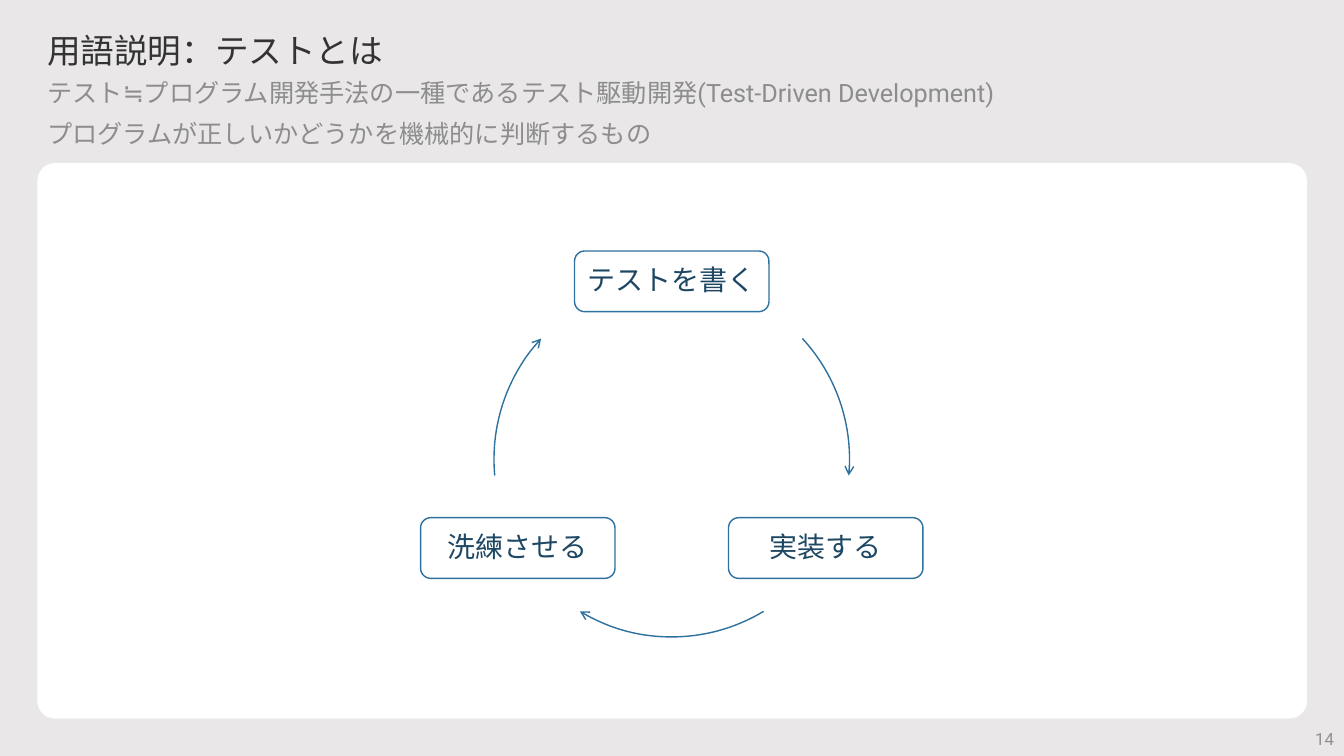
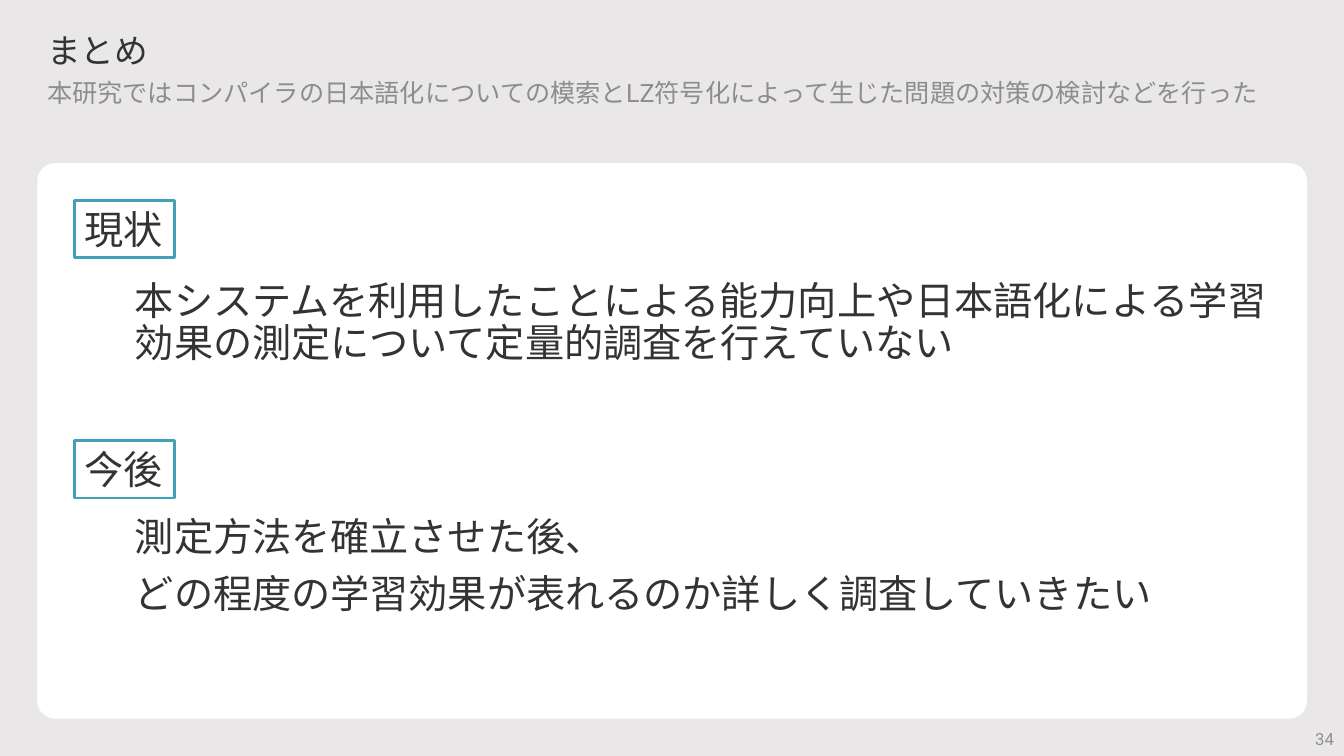
"""Build two slides: the test-driven development cycle and the summary."""
from dataclasses import dataclass
from math import cos, radians, sin

from lxml import etree
from pptx import Presentation
from pptx.dml.color import RGBColor
from pptx.enum.shapes import MSO_SHAPE
from pptx.enum.text import MSO_ANCHOR, PP_ALIGN
from pptx.oxml.ns import qn
from pptx.util import Cm, Pt

ROUNDED = MSO_SHAPE.ROUNDED_RECTANGLE
RECTANGLE = MSO_SHAPE.RECTANGLE
ARC = MSO_SHAPE.ARC
TOP, MIDDLE = MSO_ANCHOR.TOP, MSO_ANCHOR.MIDDLE
LEFT, CENTER, RIGHT = PP_ALIGN.LEFT, PP_ALIGN.CENTER, PP_ALIGN.RIGHT

COLORS = {
    "background": "E9E7E7",
    "card": "FFFFFF",
    "text": "333333",
    "subtitle": "8D8D8D",
    "number": "909090",
    "cycle_line": "2E719E",
    "cycle_text": "1D4763",
    "heading_line": "41A0BA",
}
BODY_FONT = "Roboto"
CYCLE_FONT = "Noto Sans CJK JP"


@dataclass(frozen=True)
class Box:
    """Position and size in centimetres."""
    left: float
    top: float
    width: float
    height: float

    def lengths(self):
        """Return the four values as lengths."""
        return Cm(self.left), Cm(self.top), Cm(self.width), Cm(self.height)


@dataclass(frozen=True)
class TextStyle:
    """Look of all the text in one box."""
    size: int
    color: str
    font: str = BODY_FONT
    align: PP_ALIGN = LEFT
    anchor: MSO_ANCHOR = TOP
    line_spacing: float = 0.9
    space_before: int = 10


@dataclass(frozen=True)
class Step:
    """Cycle step with its angle and the arc leading to the next step."""
    label: str
    angle: float
    arc_start: float
    arc_end: float


@dataclass(frozen=True)
class Section:
    """Summary section: a framed heading and its body lines."""
    heading: str
    heading_top: float
    lines: tuple[str, ...]
    body_top: float
    body_height: float


TITLE_STYLE = TextStyle(24, "text")
SUBTITLE_STYLE = TextStyle(18, "subtitle")
NUMBER_STYLE = TextStyle(12, "number", align=RIGHT, anchor=MIDDLE, line_spacing=1)
STEP_STYLE = TextStyle(20, "cycle_text", CYCLE_FONT, CENTER, MIDDLE)
HEADING_STYLE = TextStyle(28, "text", anchor=MIDDLE, line_spacing=1)
BODY_STYLE = TextStyle(28, "text")

TITLE_BOX = Box(0.94, 0.74, 32, 0.97)
SUBTITLE_BOX = Box(0.94, 1.9, 32, 2.03)
CARD_BOX = Box(0.94, 4.11, 32, 14)
NUMBER_BOX = Box(32, 18.14, 1.87, 0.94)

CYCLE_X, CYCLE_Y, CYCLE_RADIUS = 16.93, 11.57, 4.48
STEP_WIDTH, STEP_HEIGHT = 4.9, 1.53
STEPS = (
    Step("テストを書く", -90, -42.7, 5.3),
    Step("実装する", 30, 58.9, 121.1),
    Step("洗練させる", 150, 174.7, 222.7),
)
SECTIONS = (
    Section("現状", 5.05,
            ("本システムを利用したことによる能力向上や日本語化による学習効果の測定について定量的調査を行えていない",),
            6.96, 2.57),
    Section("今後", 11.1,
            ("測定方法を確立させた後、", "どの程度の学習効果が表れるのか詳しく調査していきたい"),
            12.93, 5.69),
)


def rgb(name: str) -> RGBColor:
    """Look up a named colour."""
    return RGBColor.from_string(COLORS[name])


def write(shape, lines: tuple[str, ...], style: TextStyle, wrap: bool = True) -> None:
    """Set the lines of a shape and format them."""
    text_frame = shape.text_frame
    text_frame.text = "\n".join(lines)
    text_frame.word_wrap = wrap
    text_frame.vertical_anchor = style.anchor
    for index, paragraph in enumerate(text_frame.paragraphs):
        paragraph.alignment = style.align
        paragraph.line_spacing = style.line_spacing
        paragraph.space_before = Pt(style.space_before if index else 0)
        for run in paragraph.runs:
            run.font.size = Pt(style.size)
            run.font.name = style.font
            run.font.color.rgb = rgb(style.color)
            east_asian = etree.SubElement(run.font._element, qn("a:ea"))
            east_asian.set("typeface", style.font)


def add_text(slide, box: Box, lines: tuple[str, ...], style: TextStyle) -> None:
    """Add a text box."""
    write(slide.shapes.add_textbox(*box.lengths()), lines, style)


def add_outline(slide, kind: MSO_SHAPE, box: Box, color: str, width: float):
    """Add an unfilled preset shape with a line."""
    shape = slide.shapes.add_shape(kind, *box.lengths())
    shape.shadow.inherit = False
    shape.fill.background()
    shape.line.color.rgb = rgb(color)
    shape.line.width = Pt(width)
    return shape


def add_base_slide(presentation, title: str, subtitle: tuple[str, ...], number: int):
    """Add a slide with the shared card, title, subtitle and number."""
    slide = presentation.slides.add_slide(presentation.slide_layouts[6])
    slide.background.fill.solid()
    slide.background.fill.fore_color.rgb = rgb("background")
    card = slide.shapes.add_shape(ROUNDED, *CARD_BOX.lengths())
    card.shadow.inherit = False
    card.adjustments[0] = 0.032
    card.fill.solid()
    card.fill.fore_color.rgb = rgb("card")
    card.line.fill.background()
    add_text(slide, TITLE_BOX, (title,), TITLE_STYLE)
    add_text(slide, SUBTITLE_BOX, subtitle, SUBTITLE_STYLE)
    add_text(slide, NUMBER_BOX, (str(number),), NUMBER_STYLE)
    return slide


def add_step(slide, step: Step) -> None:
    """Add a cycle step and the arrow to the next one."""
    center_x = CYCLE_X + CYCLE_RADIUS * cos(radians(step.angle))
    center_y = CYCLE_Y + CYCLE_RADIUS * sin(radians(step.angle))
    step_box = Box(center_x - STEP_WIDTH / 2, center_y - STEP_HEIGHT / 2,
                   STEP_WIDTH, STEP_HEIGHT)
    node = add_outline(slide, ROUNDED, step_box, "cycle_line", 1)
    node.text_frame.margin_left = node.text_frame.margin_right = Cm(0.2)
    write(node, (step.label,), STEP_STYLE)

    circle = Box(CYCLE_X - CYCLE_RADIUS, CYCLE_Y - CYCLE_RADIUS,
                 2 * CYCLE_RADIUS, 2 * CYCLE_RADIUS)
    arrow = add_outline(slide, ARC, circle, "cycle_line", 1)
    for index, angle in enumerate((step.arc_start, step.arc_end)):
        arrow.adjustments[index] = angle % 360 * 0.6
    line = arrow.line._get_or_add_ln()
    etree.SubElement(line, qn("a:tailEnd")).set("type", "arrow")


def add_section(slide, section: Section) -> None:
    """Add a framed heading and its body."""
    heading_box = Box(1.88, section.heading_top, 2.51, 1.45)
    heading = add_outline(slide, RECTANGLE, heading_box, "heading_line", 2)
    write(heading, (section.heading,), HEADING_STYLE, wrap=False)
    body_box = Box(3.15, section.body_top, 29.21, section.body_height)
    add_text(slide, body_box, section.lines, BODY_STYLE)


def main() -> None:
    """Build and save the presentation."""
    presentation = Presentation()
    presentation.slide_width = Cm(33.87)
    presentation.slide_height = Cm(19.05)

    cycle_slide = add_base_slide(
        presentation, "用語説明：テストとは",
        ("テスト≒プログラム開発手法の一種であるテスト駆動開発(Test-Driven Development)",
         "プログラムが正しいかどうかを機械的に判断するもの"), 14)
    for step in STEPS:
        add_step(cycle_slide, step)

    summary_slide = add_base_slide(
        presentation, "まとめ",
        ("本研究ではコンパイラの日本語化についての模索とLZ符号化によって生じた問題の対策の検討などを行った",), 34)
    for section in SECTIONS:
        add_section(summary_slide, section)

    presentation.save("out.pptx")


if __name__ == "__main__":
    main()
